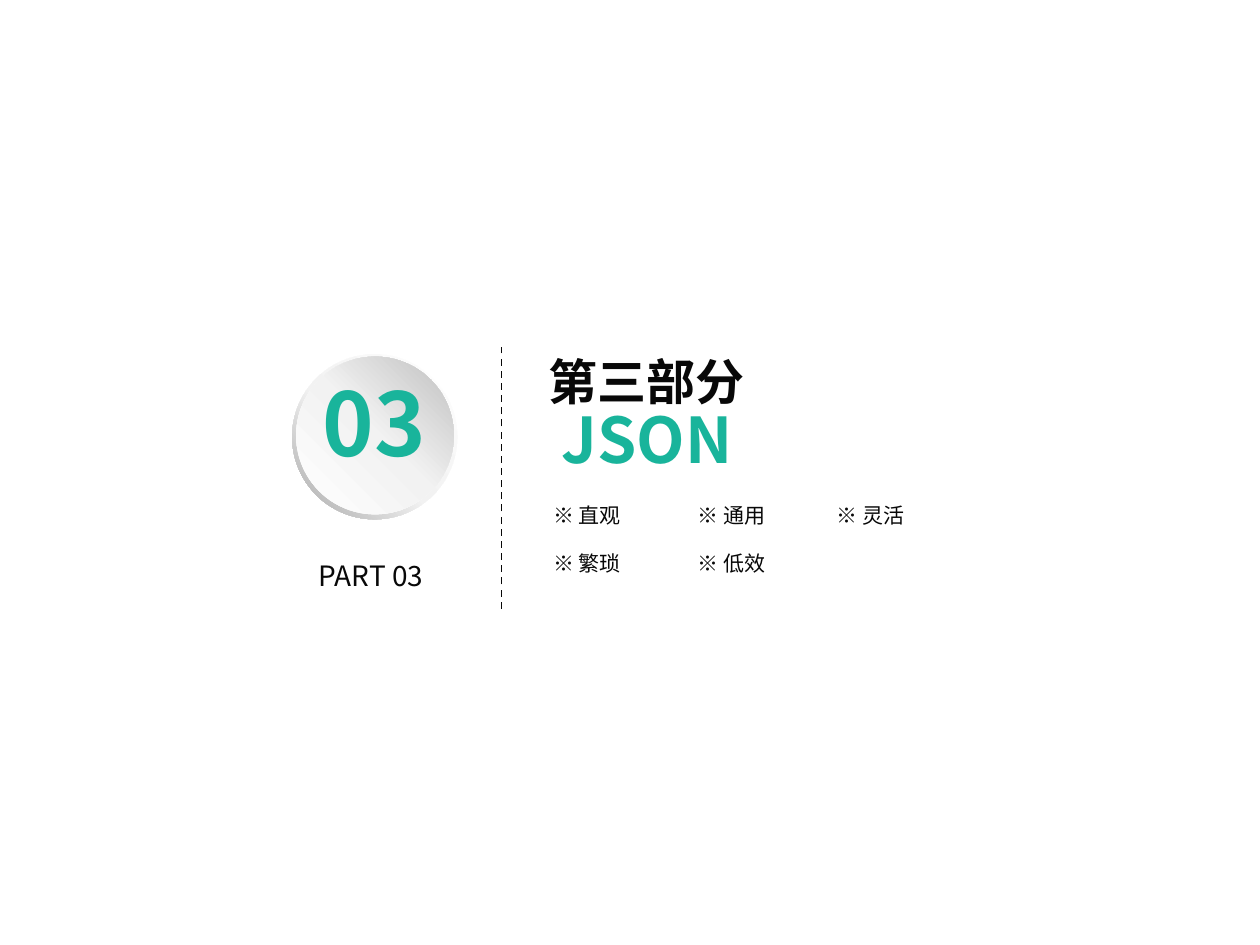
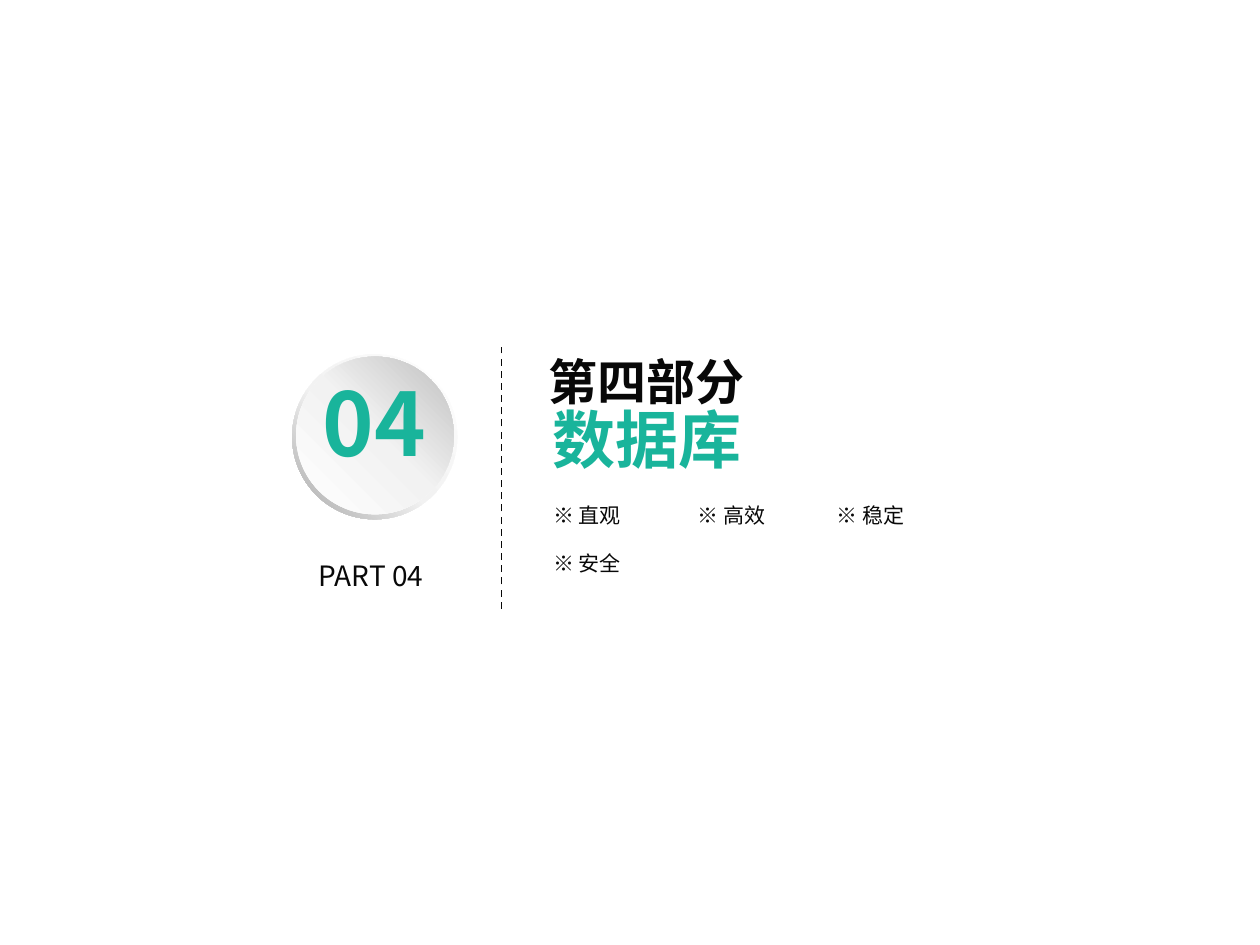
from lxml import etree
from pptx import Presentation
from pptx.dml.color import RGBColor
from pptx.enum.dml import MSO_LINE
from pptx.enum.shapes import MSO_CONNECTOR, MSO_SHAPE
from pptx.enum.text import MSO_ANCHOR, MSO_AUTO_SIZE, PP_ALIGN
from pptx.oxml.ns import qn
from pptx.util import Cm, Pt

DASH = MSO_LINE.DASH
STRAIGHT = MSO_CONNECTOR.STRAIGHT
DONUT, OVAL = MSO_SHAPE.DONUT, MSO_SHAPE.OVAL
TOP = MSO_ANCHOR.TOP
GROW = MSO_AUTO_SIZE.SHAPE_TO_FIT_TEXT
LEFT, CENTER = PP_ALIGN.LEFT, PP_ALIGN.CENTER

TITLE_ONLY = 5
KEYWORD_COLUMNS = (10.97, 13.89, 16.69)
KEYWORD_TOP, KEYWORD_PITCH = 10.13, 0.97

SECTIONS = [
    ("03", "第三部分", "JSON", ["直观", "通用", "灵活", "繁琐", "低效"]),
    ("04", "第四部分", "数据库", ["直观", "高效", "稳定", "安全"]),
]


def color(value):
    return RGBColor.from_string(value)


def write(paragraph, text, size, ink, font, bold=False, align=LEFT, spacing=0.88):
    paragraph.alignment = align
    paragraph.line_spacing = spacing
    run = paragraph.add_run()
    run.text = text
    run.font.size = Pt(size)
    run.font.bold = bold
    run.font.name = font
    run.font.color.rgb = color(ink)
    etree.SubElement(run.font._element, qn("a:ea"), typeface=font)


class SectionDeck:
    """Holds the style and the current slide of the section pages."""

    font = "Noto Sans CJK SC"
    ink = "080808"
    accent = "19B49B"

    def __init__(self):
        self.deck = Presentation()
        self.deck.slide_width, self.deck.slide_height = Cm(25.4), Cm(19.05)
        self.slide = None

    def new_slide(self):
        layout = self.deck.slide_layouts[TITLE_ONLY]
        self.slide = self.deck.slides.add_slide(layout)

    def title(self, part, topic):
        heading = self.slide.shapes.title
        heading.left, heading.top = Cm(10.69), Cm(7.14)
        heading.width, heading.height = Cm(4.6), Cm(2.97)
        frame = heading.text_frame
        frame.word_wrap = False
        frame.auto_size = GROW
        frame.vertical_anchor = TOP
        first = frame.paragraphs[0]
        write(first, part, 28, self.ink, self.font, bold=True, spacing=0.86)
        first._p.get_or_add_pPr().set("marL", str(Cm(0.11)))
        write(frame.add_paragraph(), topic, 36, self.accent, self.font,
              bold=True, align=CENTER, spacing=0.86)

    def label(self, text, left, top, width, height, size, ink=None,
              bold=False, inset=(0, 0), spacing=0.88):
        box = self.slide.shapes.add_textbox(Cm(left), Cm(top), Cm(width), Cm(height))
        frame = box.text_frame
        frame.word_wrap = True
        frame.auto_size = GROW
        frame.margin_left = frame.margin_right = Cm(inset[0])
        frame.margin_top = frame.margin_bottom = Cm(inset[1])
        write(frame.paragraphs[0], text, size, ink or self.ink, self.font,
              bold=bold, spacing=spacing)

    def divider(self, x, start, end):
        line = self.slide.shapes.add_connector(STRAIGHT, Cm(x), Cm(start), Cm(x), Cm(end))
        line.line.color.rgb = color(self.ink)
        line.line.width = Pt(1)
        line.line.dash_style = DASH
        etree.SubElement(line._element.spPr, qn("a:effectLst"))

    def disc(self, group, kind, left, top, size, stops, angle):
        shape = group.shapes.add_shape(kind, Cm(left), Cm(top), Cm(size), Cm(size))
        shape.shadow.inherit = False
        shape.line.fill.background()
        shape.fill.gradient()
        shape.fill.gradient_angle = 360 - angle
        stop_list = shape._element.spPr.find(".//" + qn("a:gsLst"))
        for old_stop in list(stop_list):
            stop_list.remove(old_stop)
        for position, shade in stops:
            stop = etree.SubElement(stop_list, qn("a:gs"), pos=str(position * 1000))
            etree.SubElement(stop, qn("a:srgbClr"), val=shade)
        return shape

    def badge(self, number):
        group = self.slide.shapes.add_group_shape()
        rim = self.disc(group, DONUT, 5.89, 7.14, 3.33,
                        [(0, "FFFFFF"), (55, "F2F2F2"), (100, "A6A6A6")], 135)
        rim.adjustments[0] = 0.05
        self.disc(group, OVAL, 5.97, 7.19, 3.18,
                  [(0, "FFFFFF"), (51, "F2F2F2"), (100, "BFBFBF")], 315)
        self.label(number, 6.5, 7.72, 2.51, 2.13, 50, self.accent, bold=True)

    def keywords(self, words):
        for index, word in enumerate(words):
            row, column = divmod(index, len(KEYWORD_COLUMNS))
            self.label(f"※ {word}", KEYWORD_COLUMNS[column],
                       KEYWORD_TOP + row * KEYWORD_PITCH, 2.8, 0.69, 12,
                       inset=(0.18, 0.08), spacing=0.86)


def main():
    pages = SectionDeck()
    for number, part, topic, words in SECTIONS:
        pages.new_slide()
        pages.title(part, topic)
        pages.divider(10.11, 12.27, 6.93)
        pages.label(f"PART {number}", 6.43, 11.35, 2.51, 0.69, 16)
        pages.badge(number)
        pages.keywords(words)
    pages.deck.save("out.pptx")


if __name__ == "__main__":
    main()
